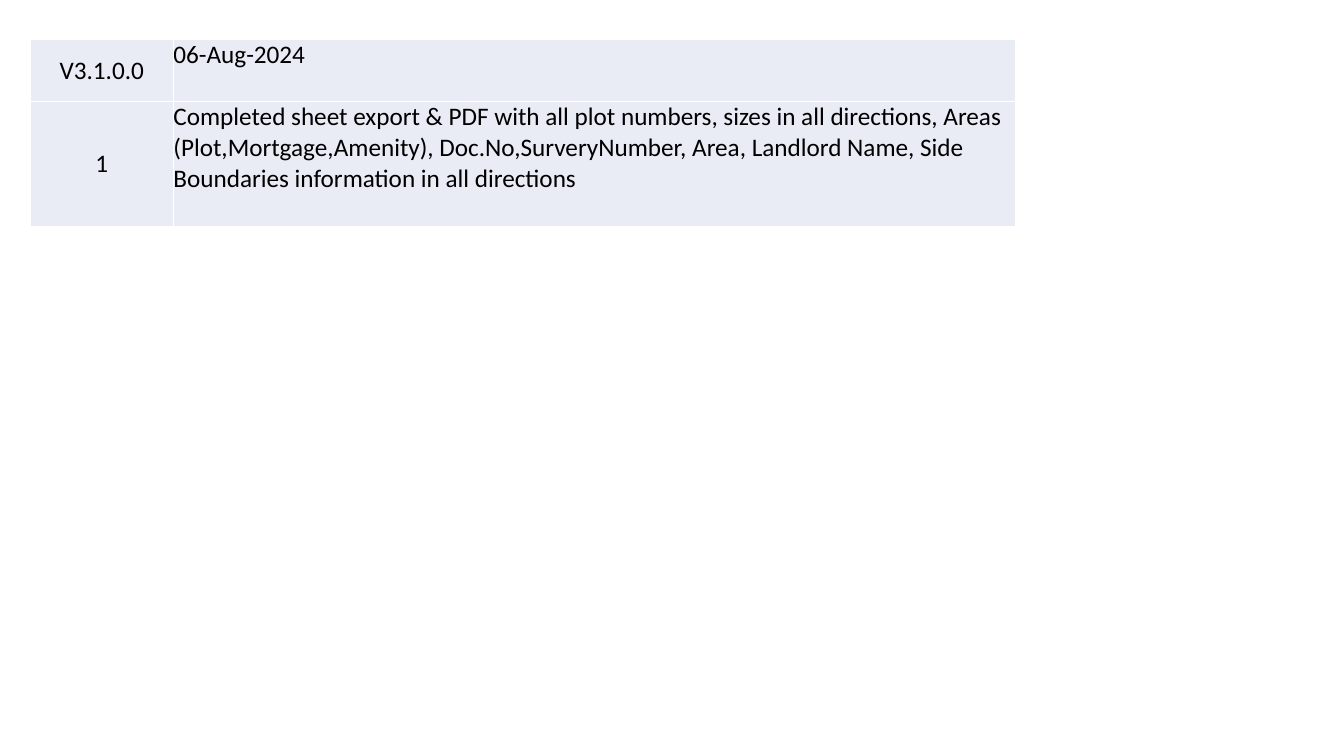
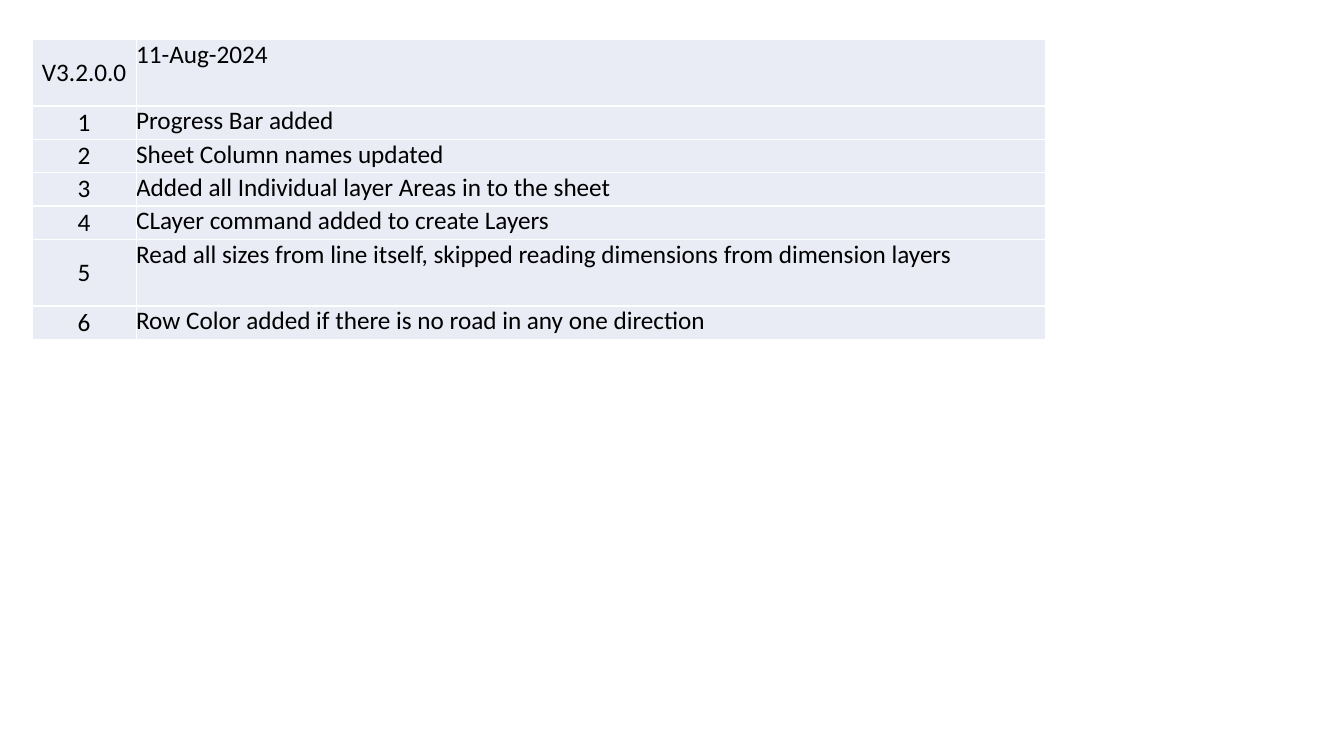
from dataclasses import dataclass

from lxml import etree
from pptx import Presentation
from pptx.dml.color import RGBColor
from pptx.enum.text import MSO_ANCHOR, PP_ALIGN
from pptx.oxml.ns import qn
from pptx.slide import Slide
from pptx.table import _Cell
from pptx.util import Cm, Pt

COLORS = {"cell": "E9EBF5", "border": "FFFFFF", "text": "000000"}
FONT_NAME = "Calibri"
FONT_SIZE = Pt(18)
BORDER_WIDTH = Pt(1)
TABLE_TOP = Cm(0.99)
BLANK_LAYOUT = 6
CENTER, LEFT = PP_ALIGN.CENTER, PP_ALIGN.LEFT
MIDDLE, TOP = MSO_ANCHOR.MIDDLE, MSO_ANCHOR.TOP


@dataclass(frozen=True)
class Change:
    text: str
    height_units: int = 1


@dataclass(frozen=True)
class Release:
    """One version's table; lengths are in centimetres."""
    version: str
    date: Change
    changes: tuple[Change, ...]
    left: float
    column_widths: tuple[float, float]
    unit_height: float


RELEASES = (
    Release(
        "V3.1.0.0",
        Change("06-Aug-2024"),
        (
            Change(
                "Completed sheet export & PDF with all plot numbers, sizes in all "
                "directions, Areas (Plot,Mortgage,Amenity), Doc.No,SurveryNumber, "
                "Area, Landlord Name, Side Boundaries information in all directions",
                2,
            ),
        ),
        left=0.76,
        column_widths=(3.61, 21.23),
        unit_height=1.57,
    ),
    Release(
        "V3.2.0.0",
        Change("11-Aug-2024", 2),
        (
            Change("Progress Bar added"),
            Change("Sheet Column names updated"),
            Change("Added all Individual layer Areas in to the sheet"),
            Change("CLayer command added to create Layers"),
            Change("Read all sizes from line itself, skipped reading dimensions "
                   "from dimension layers", 2),
            Change("Row Color added if there is no road in any one direction"),
        ),
        left=0.81,
        column_widths=(2.62, 22.91),
        unit_height=0.84,
    ),
)


def add_borders(cell: _Cell) -> None:
    properties = cell._tc.get_or_add_tcPr()
    for side in ("a:lnL", "a:lnR", "a:lnT", "a:lnB"):
        line = etree.SubElement(properties, qn(side), w=str(int(BORDER_WIDTH)))
        fill = etree.SubElement(line, qn("a:solidFill"))
        etree.SubElement(fill, qn("a:srgbClr"), val=COLORS["border"])


def write_cell(cell: _Cell, text: str, alignment: PP_ALIGN, anchor: MSO_ANCHOR) -> None:
    add_borders(cell)
    cell.fill.solid()
    cell.fill.fore_color.rgb = RGBColor.from_string(COLORS["cell"])
    cell.margin_left = cell.margin_right = cell.margin_top = cell.margin_bottom = 0
    cell.vertical_anchor = anchor
    cell.text_frame.text = text
    paragraph = cell.text_frame.paragraphs[0]
    paragraph.alignment = alignment
    font = paragraph.runs[0].font
    font.name = FONT_NAME
    font.size = FONT_SIZE
    font.color.rgb = RGBColor.from_string(COLORS["text"])


def add_release_table(slide: Slide, release: Release) -> None:
    rows = (release.date, *release.changes)
    total_units = sum(row.height_units for row in rows)
    table = slide.shapes.add_table(
        len(rows), len(release.column_widths), Cm(release.left), TABLE_TOP,
        Cm(sum(release.column_widths)), Cm(total_units * release.unit_height),
    ).table
    table.first_row = False
    table.horz_banding = False
    for column, width in zip(table.columns, release.column_widths):
        column.width = Cm(width)
    for index, row in enumerate(rows):
        table.rows[index].height = Cm(row.height_units * release.unit_height)
        label = str(index) if index else release.version
        write_cell(table.cell(index, 0), label, CENTER, MIDDLE)
        write_cell(table.cell(index, 1), row.text, LEFT, TOP)


def main() -> None:
    presentation = Presentation()
    presentation.slide_width = Cm(33.87)
    presentation.slide_height = Cm(19.05)
    for release in RELEASES:
        slide = presentation.slides.add_slide(presentation.slide_layouts[BLANK_LAYOUT])
        add_release_table(slide, release)
    presentation.save("out.pptx")


if __name__ == "__main__":
    main()
